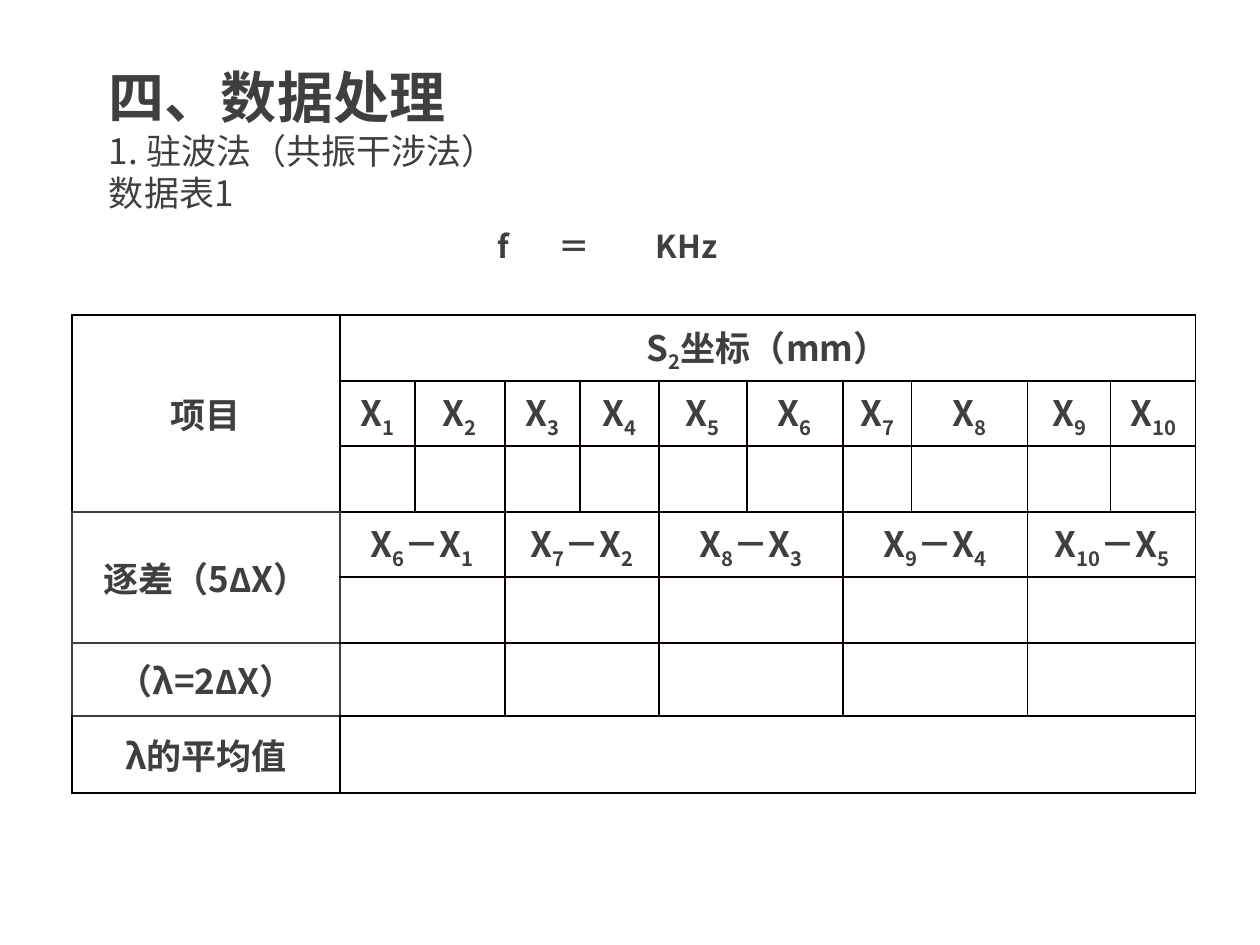
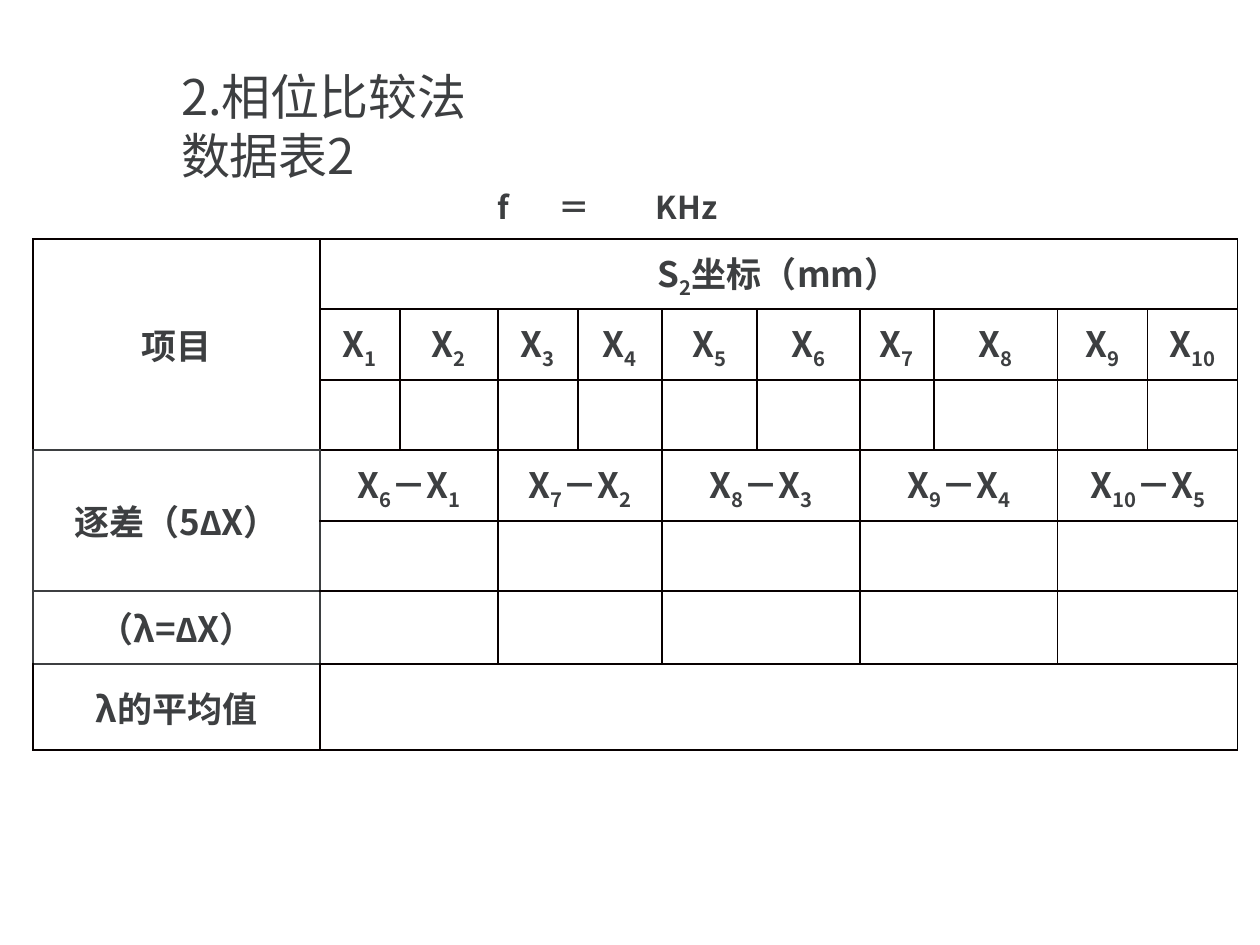
from dataclasses import dataclass
from itertools import groupby

from lxml import etree
from pptx import Presentation
from pptx.dml.color import RGBColor
from pptx.enum.text import MSO_ANCHOR, MSO_AUTO_SIZE, PP_ALIGN
from pptx.oxml.ns import qn
from pptx.util import Pt

LEFT, CENTER = PP_ALIGN.LEFT, PP_ALIGN.CENTER
TOP, MIDDLE = MSO_ANCHOR.TOP, MSO_ANCHOR.MIDDLE
NO_AUTOFIT = MSO_AUTO_SIZE.NONE
EMU_PER_PX = 914400 / 126
TITLE_ONLY = 5


def px(length):
    return round(length * EMU_PER_PX)


@dataclass(frozen=True)
class Theme:
    font: str = "Noto Sans CJK SC"
    symbol_font: str = "Arial"
    average_font: str = "Times New Roman"
    background: str = "FFFFFF"
    text: str = "3D3F41"
    rule: str = "080000"
    thin_rule: str = "000000"
    title_size: int = 32
    subtitle_size: int = 20
    method_size: int = 28
    frequency_size: int = 18
    table_size: int = 20
    rule_width: float = 1
    thin_width: float = 0.75
    line_pitch: float = 1.2


class Deck:
    def __init__(self, theme):
        self.theme = theme
        self.run_fonts = {"∆": theme.symbol_font}
        self.run_fonts.update(dict.fromkeys("的平均值", theme.average_font))
        self.presentation = Presentation()
        self.presentation.slide_width = px(1260)
        self.presentation.slide_height = px(945)
        self.slide = None

    def add_slide(self):
        layout = self.presentation.slide_layouts[TITLE_ONLY]
        self.slide = self.presentation.slides.add_slide(layout)
        fill = self.slide.background.fill
        fill.solid()
        fill.fore_color.rgb = RGBColor.from_string(self.theme.background)

    def fill_paragraph(self, paragraph, text, size, bold, alignment):
        paragraph.alignment = alignment
        font = paragraph.font
        font.size = Pt(size)
        font.bold = bold
        font.color.rgb = RGBColor.from_string(self.theme.text)
        font.name = self.theme.font
        defaults = paragraph._p.pPr.find(qn("a:defRPr"))
        etree.SubElement(defaults, qn("a:ea"), typeface=self.theme.font)
        for index, part in enumerate(text.split("~")):
            for run_font, characters in groupby(part, self.run_fonts.get):
                run = paragraph.add_run()
                run.text = "".join(characters)
                if run_font:
                    run.font.name = run_font
                if index % 2:
                    run._r.get_or_add_rPr().set("baseline", "-25000")

    def set_frame(self, shape, box):
        shape.left, shape.top, shape.width, shape.height = map(px, box)
        frame = shape.text_frame
        frame.word_wrap = True
        frame.auto_size = NO_AUTOFIT
        frame.vertical_anchor = TOP
        frame.margin_left = frame.margin_right = px(13)
        frame.margin_top = px(10)
        frame.margin_bottom = 0
        return frame

    def title(self, box, lines):
        frame = self.set_frame(self.slide.shapes.title, box)
        for index, (text, size, bold) in enumerate(lines):
            paragraph = frame.add_paragraph() if index else frame.paragraphs[0]
            paragraph.space_before = Pt(0)
            paragraph.line_spacing = Pt(size * self.theme.line_pitch)
            self.fill_paragraph(paragraph, text, size, bold, LEFT)

    def frequency(self, top):
        size = self.theme.frequency_size
        box = (374, top, 467, 50)
        frame = self.set_frame(self.slide.shapes.add_textbox(0, 0, 0, 0), box)
        frame.margin_left = px(124)
        paragraph = frame.paragraphs[0]
        paragraph.line_spacing = Pt(size * self.theme.line_pitch)
        tabs = etree.SubElement(paragraph._p.get_or_add_pPr(), qn("a:tabLst"))
        for position in (61, 158):
            etree.SubElement(tabs, qn("a:tab"), pos=str(px(position)), algn="l")
        self.fill_paragraph(paragraph, "f\t＝\tKHz", size, True, LEFT)

    def borders(self, cell, row, column):
        theme = self.theme
        soft = theme.text, theme.rule_width
        strong = theme.rule, theme.rule_width
        thin = theme.thin_rule, theme.thin_width
        soft_row = 3 <= row <= 5
        if column == 0:
            sides = {
                "L": soft if soft_row else strong,
                "R": soft if soft_row else strong,
                "T": strong if row == 0 else soft,
                "B": strong if row == 6 else soft,
            }
        else:
            left = soft if column == 1 and soft_row else strong
            sides = {"L": left, "R": thin, "T": strong, "B": strong}
        properties = cell._tc.get_or_add_tcPr()
        for side, (color, width) in sides.items():
            line = etree.SubElement(properties, qn(f"a:ln{side}"), w=str(Pt(width)))
            fill = etree.SubElement(line, qn("a:solidFill"))
            etree.SubElement(fill, qn("a:srgbClr"), val=color)

    def data_table(self, left, top, widths, heights, wavelength):
        frame = self.slide.shapes.add_table(
            len(heights), len(widths), px(left), px(top),
            px(sum(widths)), px(sum(heights)))
        table = frame.table
        table.first_row = table.horz_banding = False
        for column, width in zip(table.columns, widths):
            column.width = px(width)
        for row, height in zip(table.rows, heights):
            row.height = px(height)

        texts = {(0, 0): "项目", (0, 1): "S~2~坐标（mm）", (3, 0): "逐差（5∆X）",
                 (5, 0): wavelength, (6, 0): "λ的平均值"}
        texts.update({(1, number): f"X~{number}~" for number in range(1, 11)})
        texts.update({(3, 2 * number - 1): f"X~{number + 5}~－X~{number}~"
                      for number in range(1, 6)})

        merges = [(0, 0, 2, 0), (3, 0, 4, 0), (0, 1, 0, 10), (6, 1, 6, 10)]
        merges += [(row, column, row, column + 1)
                   for row in (3, 4, 5) for column in range(1, 11, 2)]
        for first_row, first_column, last_row, last_column in merges:
            table.cell(first_row, first_column).merge(
                table.cell(last_row, last_column))

        for row in range(len(heights)):
            for column in range(len(widths)):
                cell = table.cell(row, column)
                if cell.is_spanned:
                    continue
                cell.margin_left = cell.margin_right = 0
                cell.margin_top = cell.margin_bottom = 0
                cell.vertical_anchor = MIDDLE
                self.borders(cell, row, column)
                cell.fill.background()
                if (row, column) in texts:
                    self.fill_paragraph(
                        cell.text_frame.paragraphs[0], texts[row, column],
                        self.theme.table_size, True, CENTER)


def main():
    theme = Theme()
    deck = Deck(theme)

    deck.add_slide()
    deck.title((96, 52, 769, 165), [
        ("四、数据处理", theme.title_size, True),
        ("1. 驻波法（共振干涉法）", theme.subtitle_size, False),
        ("数据表1", theme.subtitle_size, False),
    ])
    deck.frequency(217)
    deck.data_table(
        72, 315, [268, 75, 90, 75, 79, 88, 96, 69, 116, 83, 85],
        [66, 65, 66, 65, 66, 73, 77], "（λ=2∆X）")

    deck.add_slide()
    deck.title((168, 57, 813, 131), [
        ("2.相位比较法", theme.method_size, False),
        ("数据表2", theme.method_size, False),
    ])
    deck.data_table(
        33, 239, [287, 80, 98, 80, 84, 95, 103, 74, 124, 90, 90],
        [70, 71, 70, 71, 70, 73, 86], "（λ=∆X）")
    deck.frequency(178)

    deck.presentation.save("out.pptx")


if __name__ == "__main__":
    main()
